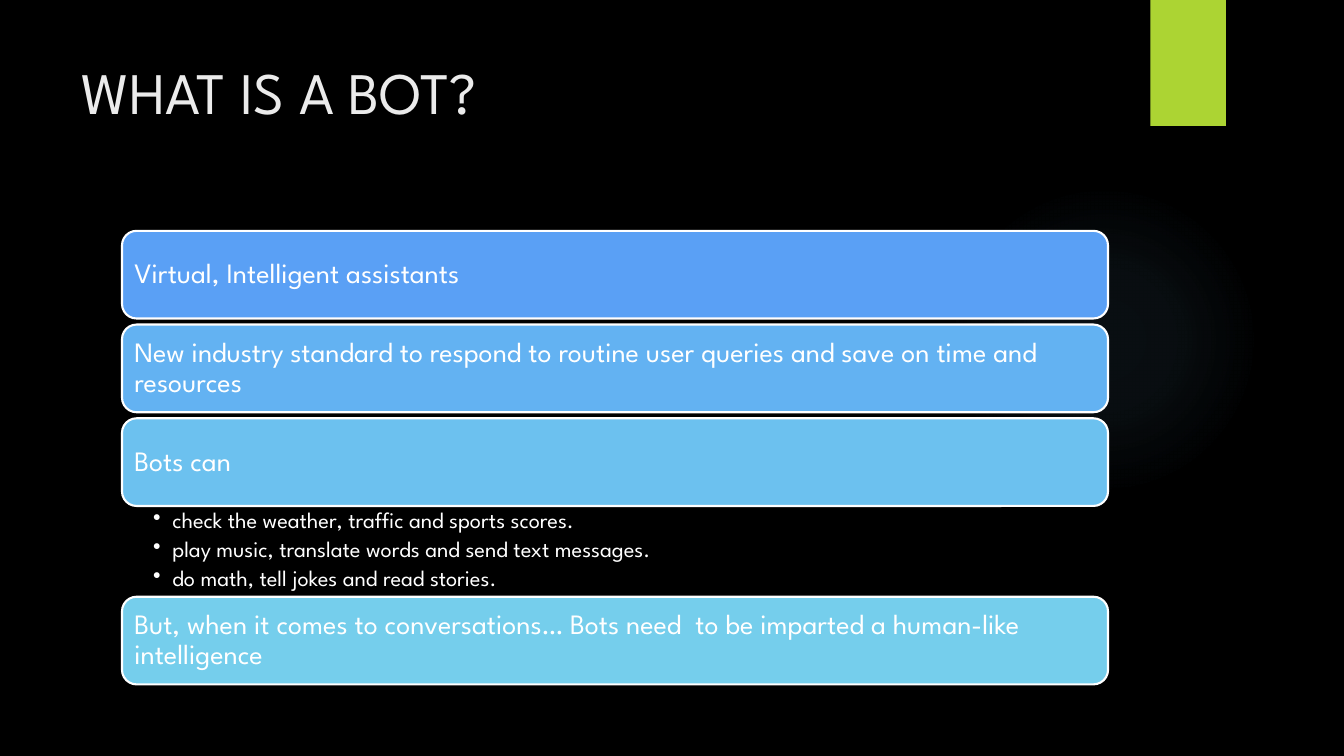
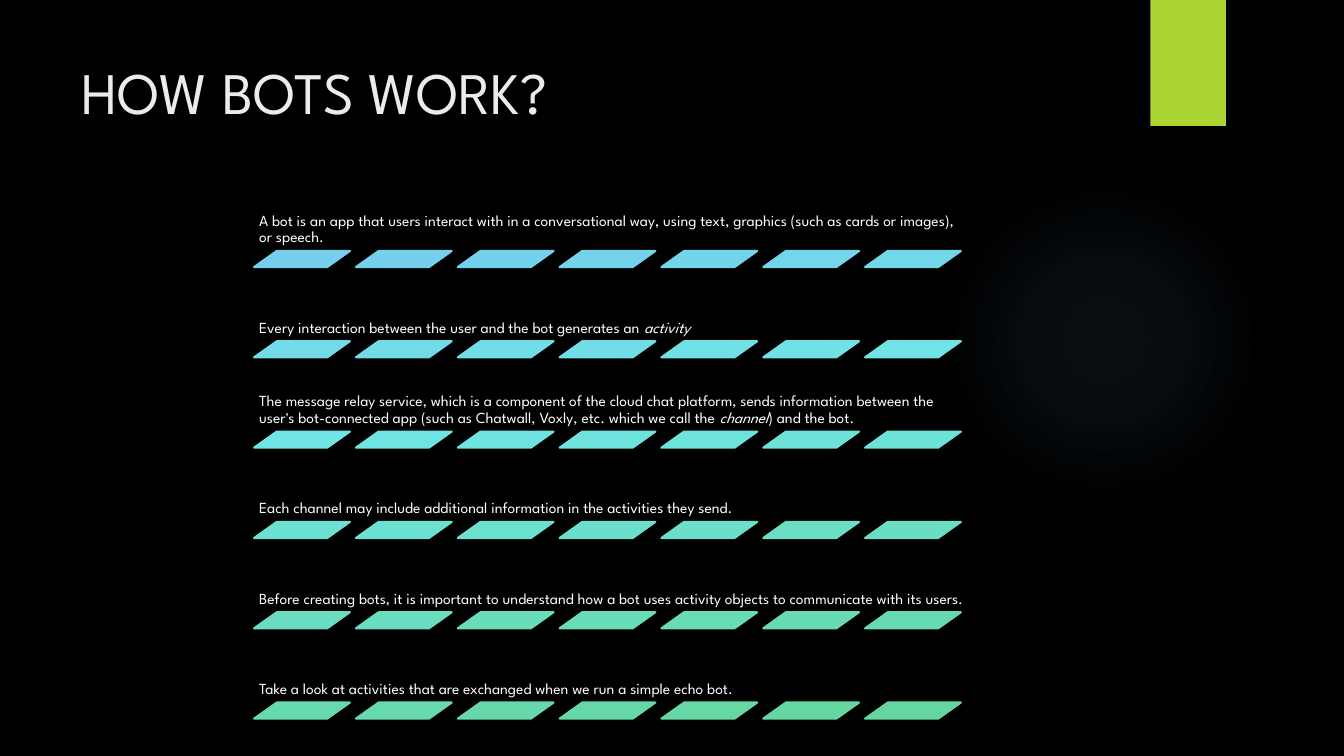
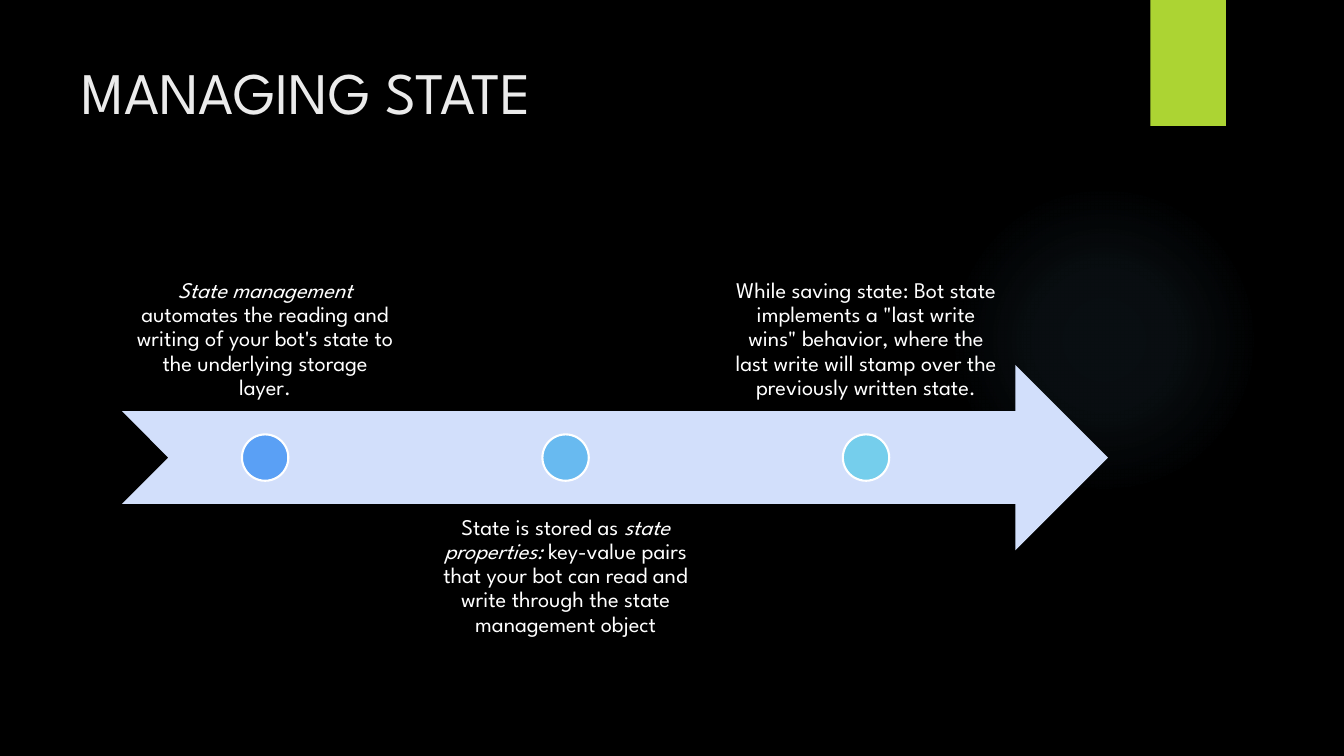
"""Build three dark slides about bots: what they are, how they work, and state."""
import pptx
import pptx.dml.color
import pptx.enum.shapes
import pptx.enum.text
import pptx.oxml
import pptx.oxml.ns
import pptx.util

Inches = pptx.util.Inches
Pt = pptx.util.Pt
RGBColor = pptx.dml.color.RGBColor
Preset = pptx.enum.shapes.MSO_SHAPE
Anchor = pptx.enum.text.MSO_ANCHOR
Align = pptx.enum.text.PP_ALIGN

FONT = "League Spartan"
BLACK = RGBColor(0x00, 0x00, 0x00)
WHITE = RGBColor(0xFF, 0xFF, 0xFF)
TITLE_GREY = RGBColor(0xEB, 0xEB, 0xEB)
TAB_GREEN = RGBColor(0xAC, 0xD4, 0x33)
GLOW_BLUE = RGBColor(0x7A, 0xC4, 0xF0)
ARROW_BLUE = RGBColor(0xD2, 0xDF, 0xFB)
BLUE = RGBColor(0x5A, 0xA0, 0xF5)
MID_BLUE = RGBColor(0x68, 0xBA, 0xF0)
SKY = RGBColor(0x75, 0xCE, 0xEC)
AQUA = RGBColor(0x6F, 0xE5, 0xE5)
GREEN = RGBColor(0x65, 0xD6, 0xA0)
BAR_COLOURS = [BLUE, RGBColor(0x63, 0xB2, 0xF2), RGBColor(0x6C, 0xC1, 0xEF), SKY]

GLOW_STOPS = [(0, 7), (36, 6), (69, 0)]
DIAGRAM_LEFT, DIAGRAM_WIDTH = 1.21, 9.78

STATEMENTS = [
    "Virtual, Intelligent assistants",
    "New industry standard to respond to routine user queries and save on time and resources",
    "Bots can",
    "But, when it comes to conversations… Bots need  to be imparted a human-like intelligence",
]
ABILITIES = [
    "check the weather, traffic and sports scores.",
    "play music, translate words and send text messages.",
    "do math, tell jokes and read stories.",
]
WORKINGS = [
    [("A bot is an app that users interact with in a conversational way, using text, "
      "graphics (such as cards or images), or speech.", False)],
    [("Every interaction between the user and the bot generates an ", False),
     ("activity", True)],
    [("The message relay service, which is a component of the cloud chat platform, sends "
      "information between the user's bot-connected app (such as Chatwall, Voxly, etc. "
      "which we call the ", False),
     ("channel", True), (") and the bot.", False)],
    [("Each channel may include additional information in the activities they send.", False)],
    [("Before creating bots, it is important to understand how a bot uses activity objects "
      "to communicate with its users.", False)],
    [("Take a look at activities that are exchanged when we run a simple echo bot.", False)],
]
MILESTONES = [
    (BLUE, [("State management", True),
            (" automates the reading and writing of your bot's state to the underlying "
             "storage layer.", False)]),
    (MID_BLUE, [("State is stored as ", False), ("state properties:", True),
                (" key-value pairs that your bot can read and write through the state "
                 "management object", False)]),
    (SKY, [("While saving state: Bot state implements a \"last write wins\" behavior, where "
            "the last write will stamp over the previously written state.", False)]),
]


def add_figure(slide, preset, left, top, width, height, fill=None, line=None):
    figure = slide.shapes.add_shape(
        preset, Inches(left), Inches(top), Inches(width), Inches(height))
    figure.shadow.inherit = False
    if fill is not None:
        figure.fill.solid()
        figure.fill.fore_color.rgb = fill
    if line is None:
        figure.line.fill.background()
    else:
        figure.line.color.rgb = line
        figure.line.width = Pt(1.5)
    return figure


def write_text(holder, paragraphs, size, colour=WHITE, anchor=Anchor.TOP,
               align=Align.LEFT, insets=(0.1, 0.05, 0.1, 0.05), spacing=0.9):
    frame = holder.text_frame
    frame.word_wrap = True
    frame.vertical_anchor = anchor
    (frame.margin_left, frame.margin_top,
     frame.margin_right, frame.margin_bottom) = map(Inches, insets)
    for index, runs in enumerate(paragraphs):
        paragraph = frame.add_paragraph() if index else frame.paragraphs[0]
        paragraph.alignment = align
        paragraph.line_spacing = spacing
        for words, italic in runs:
            run = paragraph.add_run()
            run.text = words
            run.font.name = FONT
            run.font.size = Pt(size)
            run.font.italic = italic
            run.font.color.rgb = colour
    return frame


def add_text(slide, left, top, width, height, paragraphs, size, **style):
    box = slide.shapes.add_textbox(Inches(left), Inches(top), Inches(width), Inches(height))
    return write_text(box, paragraphs, size, **style)


def add_bullets(frame, indent):
    for paragraph in frame.paragraphs:
        paragraph.space_after = Pt(3.5)
        properties = paragraph._p.get_or_add_pPr()
        properties.set("marL", str(Inches(indent)))
        properties.set("indent", str(-Inches(indent)))
        properties.append(pptx.oxml.parse_xml(
            f'<a:buChar {pptx.oxml.ns.nsdecls("a")} char="•"/>'))


def add_glow(slide):
    glow = add_figure(slide, Preset.OVAL, 9.41, 1.83, 3.08, 3.08, GLOW_BLUE)
    stops = "".join(
        f'<a:gs pos="{position * 1000}"><a:srgbClr val="{GLOW_BLUE}">'
        f'<a:alpha val="{alpha * 1000}"/></a:srgbClr></a:gs>'
        for position, alpha in GLOW_STOPS)
    gradient = pptx.oxml.parse_xml(
        f'<a:gradFill {pptx.oxml.ns.nsdecls("a")}><a:gsLst>{stops}</a:gsLst>'
        '<a:path path="circle"><a:fillToRect l="50000" t="50000" r="50000" b="50000"/>'
        '</a:path></a:gradFill>')
    properties = glow._element.spPr
    properties.replace(properties.find(pptx.oxml.ns.qn("a:solidFill")), gradient)


def add_themed_slide(deck, title):
    slide = deck.slides.add_slide(deck.slide_layouts[6])
    slide.background.fill.solid()
    slide.background.fill.fore_color.rgb = BLACK
    add_glow(slide)
    add_figure(slide, Preset.RECTANGLE, 11.41, 0, 0.75, 1.25, TAB_GREEN)
    add_text(slide, 0.71, 0.5, 10.29, 1.53, [[(title, False)]], 42,
             colour=TITLE_GREY, spacing=1.0)
    return slide


def blend(start, end, share):
    return RGBColor(*(round(a + (b - a) * share) for a, b in zip(start, end)))


def dash_colour(index, middle, last):
    if index <= middle:
        return blend(SKY, AQUA, index / middle)
    return blend(AQUA, GREEN, (index - middle) / (last - middle))


def build_definition(deck):
    slide = add_themed_slide(deck, "WHAT IS A BOT?")
    bar_height = 0.87
    bar_tops = [2.29, 3.22, 4.15, 5.92]
    for top, colour, statement in zip(bar_tops, BAR_COLOURS, STATEMENTS):
        bar = add_figure(slide, Preset.ROUNDED_RECTANGLE, DIAGRAM_LEFT, top,
                         DIAGRAM_WIDTH, bar_height, colour, WHITE)
        write_text(bar, [[(statement, False)]], 20, anchor=Anchor.MIDDLE, insets=[0.08] * 4)
    abilities = add_text(slide, DIAGRAM_LEFT, bar_tops[2] + bar_height, DIAGRAM_WIDTH, 0.91,
                         [[(ability, False)] for ability in ABILITIES], 16,
                         insets=(0.31, 0.03, 0.16, 0.03))
    add_bullets(abilities, 0.19)


def build_workings(deck):
    slide = add_themed_slide(deck, "HOW BOTS WORK?")
    left, first_top, last_top = 2.52, 2.49, 6.97
    dashes, dash_pitch, text_height = 7, 1.01, 0.65
    row_pitch = (last_top - first_top) / (len(WORKINGS) - 1)
    last_dash = len(WORKINGS) * dashes - 1
    for row, runs in enumerate(WORKINGS):
        top = first_top + row * row_pitch
        add_text(slide, left, top - text_height, 7.15, text_height, [runs], 11,
                 anchor=Anchor.BOTTOM, insets=[0.05] * 4)
        for column in range(dashes):
            colour = dash_colour(row * dashes + column, 2 * dashes, last_dash)
            dash = add_figure(slide, Preset.PARALLELOGRAM, left + column * dash_pitch, top,
                              0.95, 0.16, colour, colour)
            dash.adjustments[0] = 1.408


def build_state(deck):
    slide = add_themed_slide(deck, "MANAGING STATE")
    add_figure(slide, Preset.NOTCHED_RIGHT_ARROW, DIAGRAM_LEFT, 3.62, DIAGRAM_WIDTH, 1.84,
               ARROW_BLUE)
    text_width, dot_size, pitch = 2.84, 0.46, 2.98
    for index, (colour, runs) in enumerate(MILESTONES):
        left = DIAGRAM_LEFT + index * pitch
        below = index % 2 == 1
        add_text(slide, left, 5 if below else 2.25, text_width, 1.84, [runs], 16,
                 anchor=Anchor.TOP if below else Anchor.BOTTOM,
                 align=Align.CENTER, insets=[0.12] * 4)
        add_figure(slide, Preset.OVAL, left + (text_width - dot_size) / 2, 4.31,
                   dot_size, dot_size, colour, WHITE)


def main():
    deck = pptx.Presentation()
    deck.slide_width = Inches(13.33)
    deck.slide_height = Inches(7.5)
    build_definition(deck)
    build_workings(deck)
    build_state(deck)
    deck.save("out.pptx")


if __name__ == "__main__":
    main()
